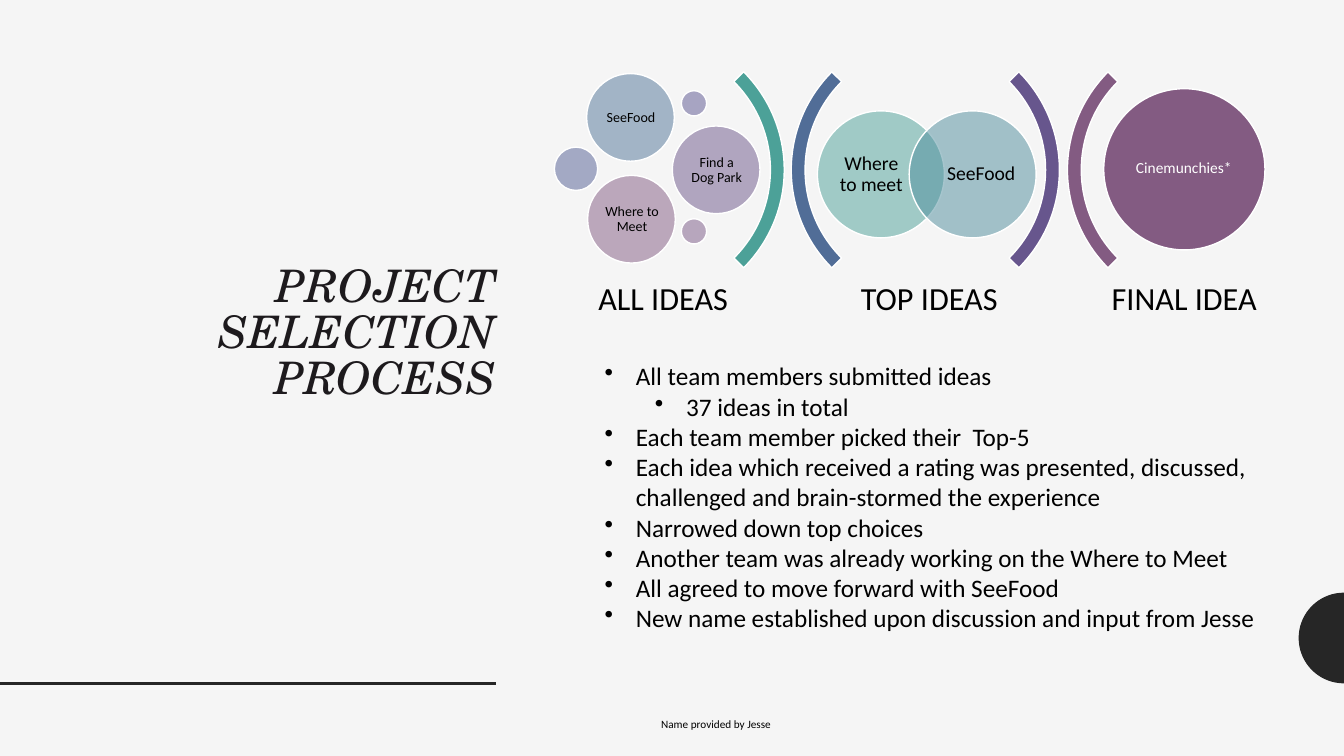
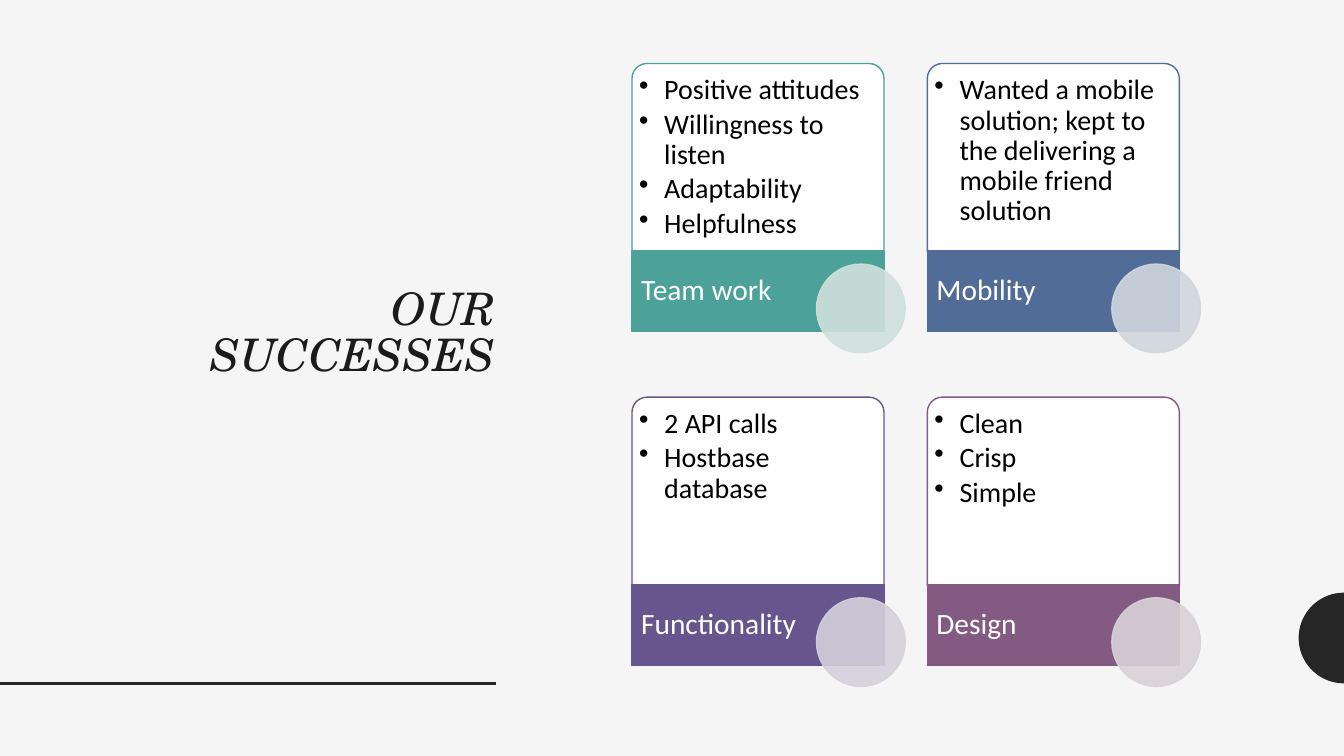
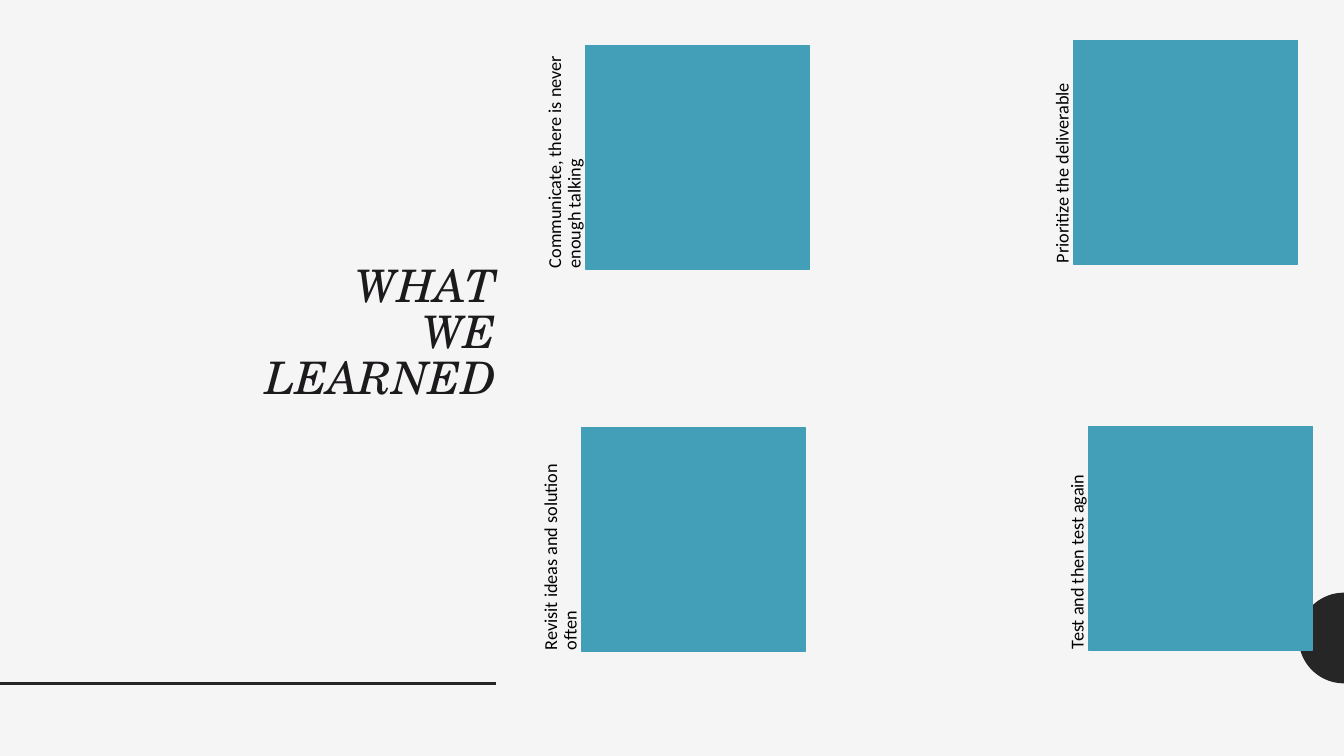
import math

import pptx
import pptx.dml.color
import pptx.enum.shapes
import pptx.enum.text
import pptx.oxml.xmlchemy
import pptx.util

PX = 9144
SHAPE = pptx.enum.shapes.MSO_SHAPE
ANCHOR = pptx.enum.text.MSO_ANCHOR
ALIGN = pptx.enum.text.PP_ALIGN
COLORS = {
    "background": "F5F5F5",
    "ink": "262626",
    "title": "1D1A1D",
    "black": "000000",
    "white": "FFFFFF",
    "green": "4CA198",
    "blue": "516D97",
    "purple": "67568D",
    "plum": "835B82",
    "teal": "4E8D9D",
    "steel": "517498",
    "slate": "535F94",
    "violet": "5B5590",
    "mauve": "6D578B",
    "orchid": "7A5987",
    "pale green": "D0E0DD",
    "pale blue": "D0D6DD",
    "pale purple": "D4D1DB",
    "pale plum": "D9D2D8",
    "tile": "439EB7",
}


def px(*lengths):
    return [pptx.util.Emu(round(length * PX)) for length in lengths]


def rgb(name):
    return pptx.dml.color.RGBColor.from_string(COLORS[name])


def add_element(parent, tag, **attributes):
    element = pptx.oxml.xmlchemy.OxmlElement(tag)
    for name, value in attributes.items():
        element.set(name, str(value))
    parent.append(element)


def write_paragraph(paragraph, text, size=18, color="black", font="Calibri", italic=False,
                    align=None, spacing=None, after=None, indent=None, hanging=0):
    paragraph.text = text
    paragraph.alignment = align
    paragraph.line_spacing = spacing
    if after is not None:
        paragraph.space_after = pptx.util.Pt(after)
    for run in paragraph.runs:
        run.font.size = pptx.util.Pt(size)
        run.font.name = font
        run.font.italic = italic
        run.font.color.rgb = rgb(color)
    if indent is not None:
        properties = paragraph._p.get_or_add_pPr()
        properties.set("marL", str(indent * PX))
        properties.set("indent", str(-hanging * PX))
        add_element(properties, "a:buChar", char="•")


class Deck:
    def __init__(self):
        self.presentation = pptx.Presentation()
        self.presentation.slide_width = pptx.util.Emu(12192000)
        self.presentation.slide_height = pptx.util.Emu(6858000)
        self.slide = None

    def new_slide(self, title):
        self.slide = self.presentation.slides.add_slide(self.presentation.slide_layouts[6])
        fill = self.slide.background.fill
        fill.solid()
        fill.fore_color.rgb = rgb("background")
        self.half_disc()
        self.rule()
        self.text((84, 61, 418, 542), title, anchor=ANCHOR.MIDDLE, size=32, color="title",
                  font="TeX Gyre Schola", italic=True, align=ALIGN.RIGHT, spacing=0.85)

    def half_disc(self):
        right = self.presentation.slide_width
        middle, radius = px(633, 45)
        angles = [math.radians(90 + 5 * step) for step in range(37)]
        points = [(right + radius * math.cos(angle), middle + radius * math.sin(angle))
                  for angle in angles]
        builder = self.slide.shapes.build_freeform(*points[0], scale=1.0)
        builder.add_line_segments(points[1:], close=True)
        self.paint(builder.convert_to_shape(), "ink")

    def rule(self):
        line = self.slide.shapes.add_connector(
            pptx.enum.shapes.MSO_CONNECTOR.STRAIGHT, *px(0, 678, 492, 678))
        line.line.color.rgb = rgb("ink")
        line.line.width = pptx.util.Pt(2)
        add_element(line._element.spPr, "a:effectLst")

    def paint(self, shape, fill, line=None, fill_alpha=100, line_alpha=100):
        shape.shadow.inherit = False
        shape.fill.solid()
        shape.fill.fore_color.rgb = rgb(fill)
        if line:
            shape.line.color.rgb = rgb(line)
            shape.line.width = pptx.util.Pt(1)
        else:
            shape.line.fill.background()
        for query, alpha in (("./a:solidFill/a:srgbClr", fill_alpha),
                             ("./a:ln/a:solidFill/a:srgbClr", line_alpha)):
            if alpha < 100:
                for color in shape._element.spPr.xpath(query):
                    add_element(color, "a:alpha", val=alpha * 1000)

    def shape(self, kind, box, fill, line, adjustments=(), rotation=0, **alphas):
        shape = self.slide.shapes.add_shape(kind, *px(*box))
        shape.rotation = rotation
        for index, value in enumerate(adjustments):
            shape.adjustments[index] = value
        self.paint(shape, fill, line, **alphas)

    def text(self, box, content, anchor=ANCHOR.TOP, insets=(10, 5, 10, 5), rotation=0, **style):
        shape = self.slide.shapes.add_textbox(*px(*box))
        shape.rotation = rotation
        frame = shape.text_frame
        frame.word_wrap = True
        frame.vertical_anchor = anchor
        (frame.margin_left, frame.margin_top,
         frame.margin_right, frame.margin_bottom) = px(*insets)
        items = [content] if isinstance(content, str) else content
        for index, item in enumerate(items):
            paragraph = frame.paragraphs[0] if index == 0 else frame.add_paragraph()
            text, extra = (item, {}) if isinstance(item, str) else item
            write_paragraph(paragraph, text, **{**style, **extra})

    def label(self, box, content, inset=0, **style):
        self.text(box, content, anchor=ANCHOR.MIDDLE, insets=(inset,) * 4,
                  align=ALIGN.CENTER, spacing=0.9, **style)

    def arc(self, left, rotation, color):
        self.shape(SHAPE.BLOCK_ARC, (left, 31, 275, 275), color, "white",
                   adjustments=(135, 189, 0.05), rotation=rotation)

    def bubble(self, left, top, size, color, alpha=50):
        self.shape(SHAPE.OVAL, (left, top, size, size), color, "white", fill_alpha=alpha)

    def card(self, left, top, heading, points, color, pale):
        self.shape(SHAPE.ROUND_2_SAME_RECTANGLE, (left, top, 250, 187), "white", color,
                   adjustments=(0.08, 0), fill_alpha=90)
        self.text((left + 4, top + 4, 242, 182), points, insets=(3, 8, 3, 3), size=20,
                  spacing=0.9, after=3, indent=25, hanging=25)
        self.shape(SHAPE.RECTANGLE, (left, top + 186, 250, 80), color, color)
        self.text((left, top + 186, 176, 80), heading, anchor=ANCHOR.MIDDLE,
                  insets=(9, 0, 3, 0), size=21, color="white", spacing=0.9)
        self.shape(SHAPE.OVAL, (left + 183, top + 199, 88, 88), pale, pale,
                   fill_alpha=90, line_alpha=90)

    def tile(self, left, top, caption):
        self.shape(SHAPE.RECTANGLE, (left, top, 222, 222), "tile", "tile")
        self.text((left - 133, top + 89, 222, 44), caption, anchor=ANCHOR.BOTTOM,
                  insets=(1, 1, 1, 1), rotation=270, size=13, spacing=0.9)


def selection_slide(deck):
    deck.new_slide("PROJECT SELECTION PROCESS")
    for left, rotation, color in ((503, 90, "green"), (785, 270, "blue"),
                                  (776, 90, "purple"), (1059, 270, "plum")):
        deck.arc(left, rotation, color)
    for left, stage in ((554, "ALL IDEAS"), (818, "TOP IDEAS"), (1071, "FINAL IDEA")):
        deck.label((left, 270, 208, 55), stage, inset=10, size=23)
    for left, color, text_left, idea in ((811, "green", 828, "Where to meet"),
                                         (902, "teal", 937, "SeeFood")):
        deck.bubble(left, 110, 126, color)
        deck.label((text_left, 125, 73, 96), idea, size=14)
    for left, top, size, color in ((550, 146, 43, "slate"), (676, 90, 25, "violet"),
                                   (676, 217, 25, "orchid")):
        deck.bubble(left, top, size, color)
    for left, top, color, idea in ((582, 73, "steel", "SeeFood"),
                                   (667, 125, "mauve", "Find a Dog Park"),
                                   (583, 174, "plum", "Where to Meet")):
        deck.bubble(left, top, 87, color)
        deck.label((left + 13, top + 13, 62, 62), idea, inset=4, size=10)
    deck.bubble(1095, 88, 160, "plum", alpha=100)
    deck.label((1118, 111, 113, 113), "Cinemunchies*", inset=5, size=11, color="white")
    deck.text((646, 707, 671, 26), "Name provided by Jesse", size=8)
    deck.text((590, 353, 697, 283), [
        "All team members submitted ideas",
        ("37 ideas in total", {"indent": 81}),
        "Each team member picked their  Top-5",
        "Each idea which received a rating was presented, discussed, "
        "challenged and brain-stormed the experience",
        "Narrowed down top choices",
        "Another team was already working on the Where to Meet",
        "All agreed to move forward with SeeFood",
        "New name established upon discussion and input from Jesse",
    ], size=18, indent=31, hanging=31)


def successes_slide(deck):
    deck.new_slide("OUR SUCCESSES")
    cards = (
        ("Team work", "green",
         ["Positive attitudes", "Willingness to listen", "Adaptability", "Helpfulness"]),
        ("Mobility", "blue",
         ["Wanted a mobile solution; kept to the delivering a mobile friend solution"]),
        ("Functionality", "purple", ["2 API calls", "Hostbase database"]),
        ("Design", "plum", ["Clean", "Crisp", "Simple"]),
    )
    for index, (heading, color, points) in enumerate(cards):
        row, column = divmod(index, 2)
        deck.card(627 + 293 * column, 63 + 331 * row, heading, points, color, "pale " + color)


def lessons_slide(deck):
    deck.new_slide("WHAT\vWE\vLEARNED")
    for left, top, caption in ((577, 424, "Revisit ideas and solution often"),
                               (1080, 423, "Test and then test again"),
                               (581, 45, "Communicate, there is never enough talking"),
                               (1065, 40, "Prioritize the deliverable")):
        deck.tile(left, top, caption)


def main():
    deck = Deck()
    selection_slide(deck)
    successes_slide(deck)
    lessons_slide(deck)
    deck.presentation.save("out.pptx")


if __name__ == "__main__":
    main()
